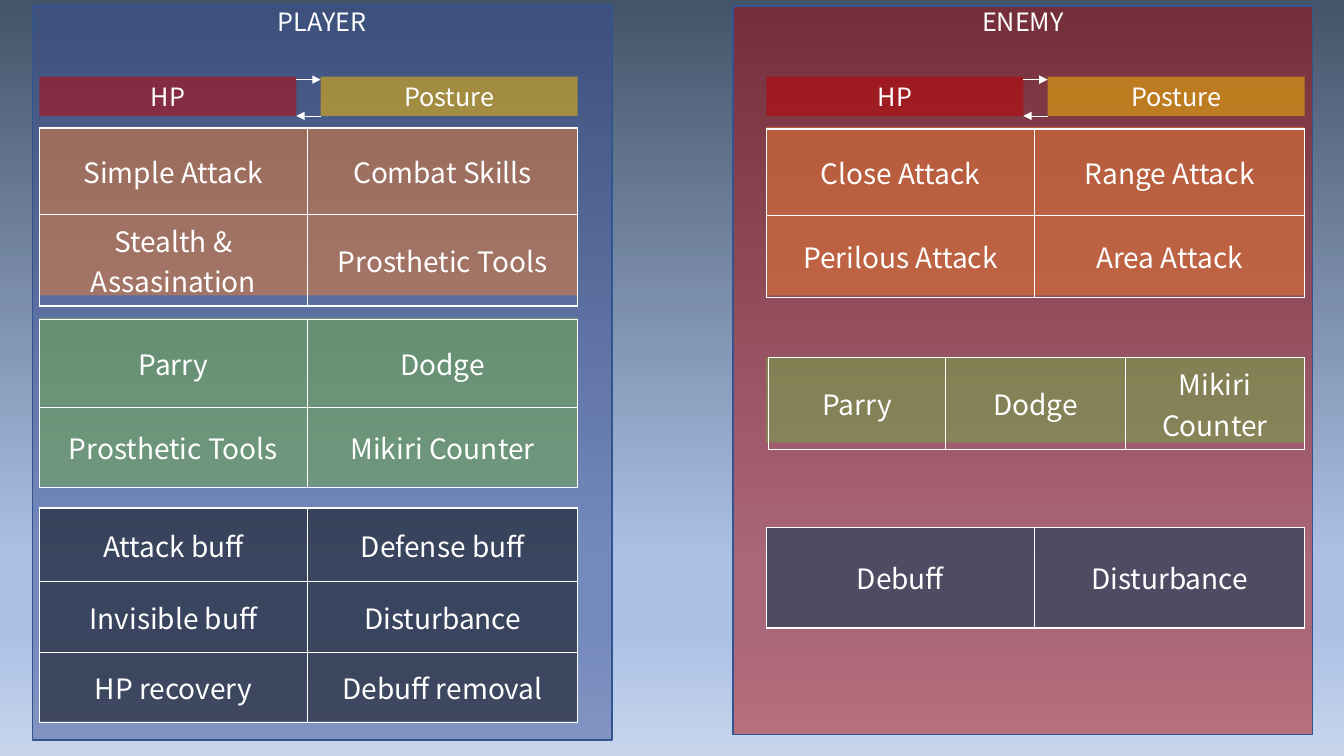
import pptx
import pptx.dml.color
import pptx.enum.shapes
import pptx.enum.text
import pptx.oxml
import pptx.oxml.ns
import pptx.util
from lxml import etree

FONT = "Noto Sans CJK SC"
WHITE = "FFFFFF"
BACKGROUND_STOPS = [(0, "44546A"), (74, "ABC0E4"), (83, "ABC0E4"), (100, "C7D5ED")]
CONTENT_WIDTH, BAR_WIDTH, BAR_TOP, BAR_HEIGHT = 5.34, 2.55, 0.76, 0.39
BARS = [("HP", "C00000"), ("Posture", "FFC000")]
HALVES = [2.66, 2.68]
THIRDS = [1.76, 1.78, 1.78]

# Backing: top, height, colour. A table without backing fills its own cells.
PANELS = [
    {"title": "PLAYER", "left": 0.32, "height": 7.28, "fill": ("354B91", 46),
     "content_left": 0.39,
     "tables": [
         {"top": 1.27, "columns": HALVES, "rows": [0.86, 0.81],
          "backing": (1.26, 1.67, "ED7D31"),
          "cells": [["Simple Attack", "Combat Skills"],
                    ["Stealth & Assasination", "Prosthetic Tools"]]},
         {"top": 3.17, "columns": HALVES, "rows": [0.87, 0.8],
          "backing": (3.15, 1.67, "70AD47"),
          "cells": [["Parry", "Dodge"], ["Prosthetic Tools", "Mikiri Counter"]]},
         {"top": 5.04, "columns": HALVES, "rows": [0.73, 0.7, 0.7],
          "backing": (5.04, 2.12, "000000"),
          "cells": [["Attack buff", "Defense buff"], ["Invisible buff", "Disturbance"],
                    ["HP recovery", "Debuff removal"]]},
     ]},
    {"title": "ENEMY", "left": 7.27, "height": 7.23, "fill": ("AA0606", 48),
     "content_left": 7.6,
     "tables": [
         {"top": 1.28, "columns": HALVES, "rows": [0.86, 0.81],
          "backing": (1.26, 1.67, "ED7D31"),
          "cells": [["Close Attack", "Range Attack"], ["Perilous Attack", "Area Attack"]]},
         {"top": 3.55, "columns": THIRDS, "rows": [0.84],
          "backing": (3.55, 0.84, "70AD47"),
          "cells": [["Parry", "Dodge", "Mikiri Counter"]]},
         {"top": 5.23, "columns": HALVES, "rows": [1], "cell_fill": ("39445D", 80),
          "cells": [["Debuff", "Disturbance"]]},
     ]},
]


def inches(*values):
    """Convert lengths in inches to slide units."""
    return [pptx.util.Inches(value) for value in values]


def colour(hex_string):
    """Turn a hex string into a colour."""
    return pptx.dml.color.RGBColor.from_string(hex_string)


def add_child(parent, tag, **attributes):
    """Append a DrawingML element to parent."""
    child = etree.SubElement(parent, pptx.oxml.ns.qn(tag))
    for name, value in attributes.items():
        child.set(name, str(value))
    return child


def set_fill(fill, properties, hex_string, opacity):
    """Fill with a colour at an opacity in percent."""
    fill.solid()
    fill.fore_color.rgb = colour(hex_string)
    solid = properties.find(pptx.oxml.ns.qn("a:solidFill"))
    add_child(solid[0], "a:alpha", val=opacity * 1000)


def set_text(text_frame, text, size):
    """Write one centred white paragraph."""
    text_frame.text = text
    paragraph = text_frame.paragraphs[0]
    paragraph.alignment = pptx.enum.text.PP_ALIGN.CENTER
    font = paragraph.runs[0].font
    font.name, font.size = FONT, pptx.util.Pt(size)
    font.color.rgb = colour(WHITE)
    east_asian = add_child(font._element, "a:ea", typeface=FONT)
    font._element.find(pptx.oxml.ns.qn("a:latin")).addnext(east_asian)


def add_box(slide, left, top, width, height, fill, text=None):
    """Add a translucent borderless rectangle, with text if given."""
    shape = slide.shapes.add_shape(pptx.enum.shapes.MSO_SHAPE.RECTANGLE,
                                   *inches(left, top, width, height))
    shape.shadow.inherit = False
    set_fill(shape.fill, shape._element.spPr, *fill)
    shape.line.fill.background()
    if text:
        set_text(shape.text_frame, text, 18)
        shape.text_frame.vertical_anchor = pptx.enum.text.MSO_ANCHOR.MIDDLE
    return shape


def add_arrow(slide, start, end, y):
    """Add a thin horizontal arrow."""
    arrow = slide.shapes.add_connector(pptx.enum.shapes.MSO_CONNECTOR.STRAIGHT,
                                       *inches(start, y, end, y))
    arrow.line.color.rgb = colour(WHITE)
    arrow.line.width = pptx.util.Pt(0.5)
    add_child(arrow.line._get_or_add_ln(), "a:tailEnd", type="triangle")
    add_child(arrow._element.spPr, "a:effectLst")


def add_borders(cell):
    """Draw white one-point lines on all sides of a cell."""
    properties = cell._tc.get_or_add_tcPr()
    for side in ("a:lnL", "a:lnR", "a:lnT", "a:lnB"):
        line = add_child(properties, side, w=pptx.util.Pt(1))
        add_child(add_child(line, "a:solidFill"), "a:srgbClr", val=WHITE)


def add_grid(slide, left, grid):
    """Add a table and the coloured box behind it."""
    if "backing" in grid:
        top, height, hex_string = grid["backing"]
        add_box(slide, left, top, CONTENT_WIDTH, height, (hex_string, 50))
    columns, rows = grid["columns"], grid["rows"]
    width = sum(columns)
    table_left = left + CONTENT_WIDTH - width
    table = slide.shapes.add_table(len(rows), len(columns), *inches(
        table_left, grid["top"], width, sum(rows))).table
    table.first_row = table.horz_banding = False
    for column, column_width in zip(table.columns, columns):
        column.width = pptx.util.Inches(column_width)
    for row, row_height, texts in zip(table.rows, rows, grid["cells"]):
        row.height = pptx.util.Inches(row_height)
        for cell, text in zip(row.cells, texts):
            set_text(cell.text_frame, text, 20)
            cell.vertical_anchor = pptx.enum.text.MSO_ANCHOR.MIDDLE
            add_borders(cell)
            if "cell_fill" in grid:
                set_fill(cell.fill, cell._tc.tcPr, *grid["cell_fill"])
            else:
                cell.fill.background()


def add_panel(slide, panel):
    """Add one fighter's panel with bars, arrows and tables."""
    box = add_box(slide, panel["left"], 0.06, 5.75, panel["height"],
                  panel["fill"], panel["title"])
    box.line.color.rgb = colour("325491")
    box.line.width = pptx.util.Pt(1)
    box.text_frame.vertical_anchor = pptx.enum.text.MSO_ANCHOR.TOP
    box.text_frame.margin_top = 0
    left = panel["content_left"]
    posture_left = left + CONTENT_WIDTH - BAR_WIDTH
    for (name, hex_string), bar_left in zip(BARS, (left, posture_left)):
        add_box(slide, bar_left, BAR_TOP, BAR_WIDTH, BAR_HEIGHT, (hex_string, 50), name)
    add_arrow(slide, left + BAR_WIDTH, posture_left, BAR_TOP + 0.03)
    add_arrow(slide, posture_left, left + BAR_WIDTH, BAR_TOP + BAR_HEIGHT)
    for grid in panel["tables"]:
        add_grid(slide, left, grid)


def set_background(slide):
    """Give the slide its vertical gradient."""
    fill = slide.background.fill
    fill.gradient()
    fill.gradient_angle = 270
    stops = slide._element.find(".//" + pptx.oxml.ns.qn("a:gsLst"))
    for stop in list(stops):
        stops.remove(stop)
    for position, hex_string in BACKGROUND_STOPS:
        stop = add_child(stops, "a:gs", pos=position * 1000)
        add_child(stop, "a:srgbClr", val=hex_string)


presentation = pptx.Presentation()
presentation.slide_width, presentation.slide_height = inches(13.33, 7.5)
slide = presentation.slides.add_slide(presentation.slide_layouts[6])
set_background(slide)
for panel in PANELS:
    add_panel(slide, panel)
presentation.save("out.pptx")
